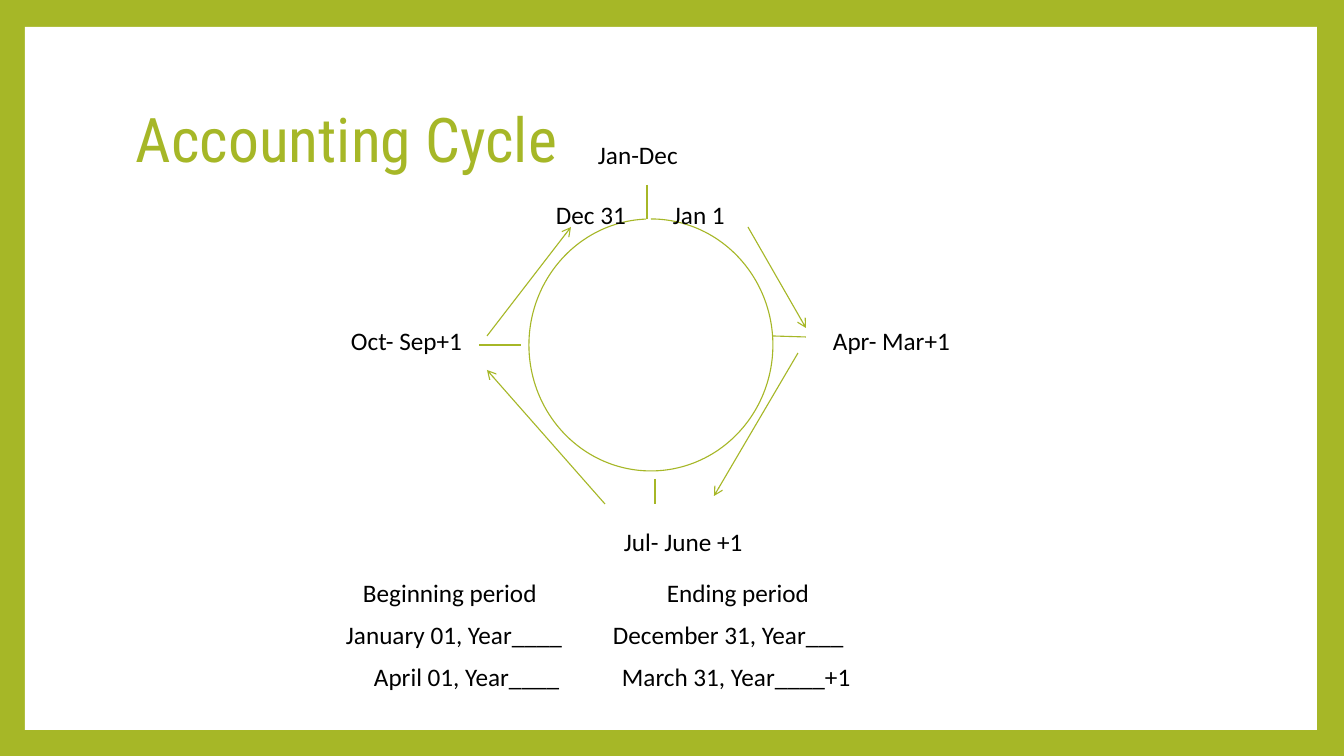
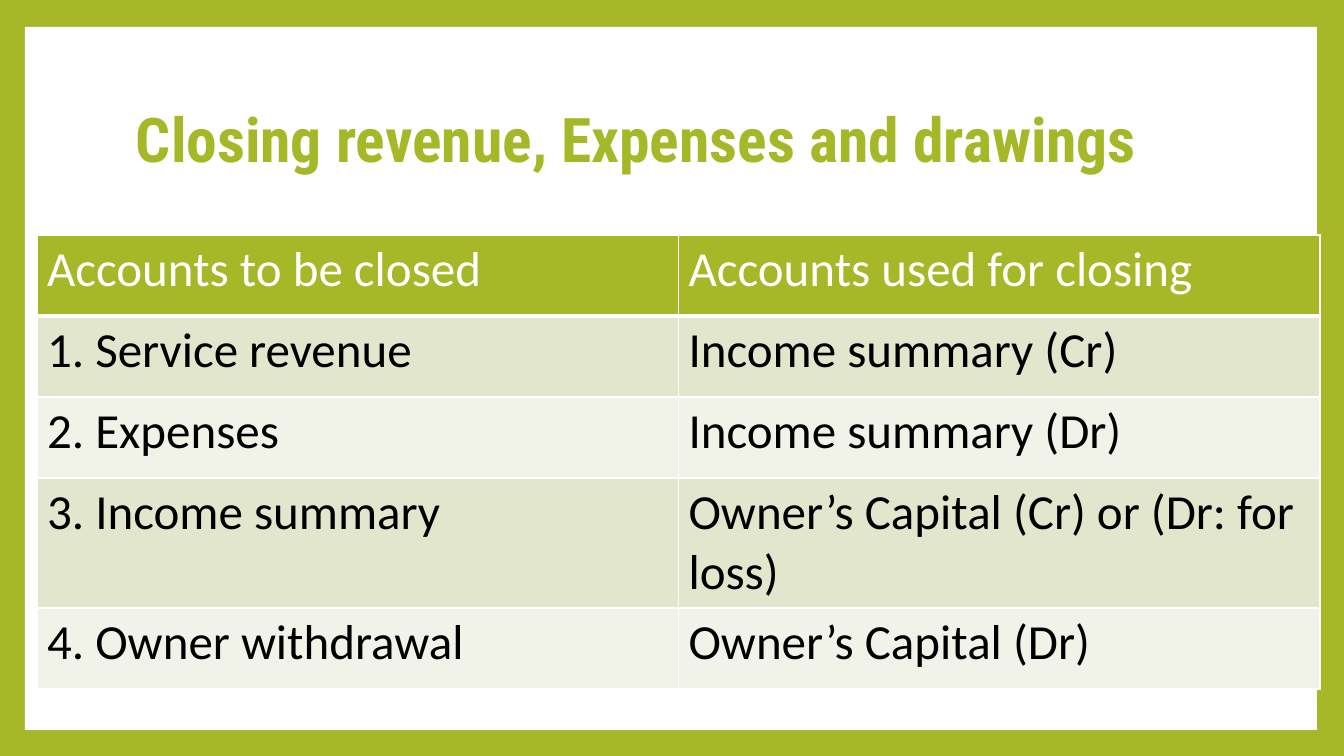
from dataclasses import dataclass

from lxml import etree
from pptx import Presentation
from pptx import util as u
from pptx.dml.color import RGBColor as Rgb
from pptx.enum import shapes, text
from pptx.oxml import ns

PX = 914400 / 100.8


@dataclass(frozen=True)
class Theme:
    """Colours, fonts and sizes of the deck."""
    green: str = "A6B727"
    white: str = "FFFFFF"
    black: str = "000000"
    bands: tuple = ("E1E6CD", "F1F3E8")
    head: str = "Roboto Condensed"
    body: str = "Calibri"
    title: int = 44
    label: int = 18
    cell: int = 35
    line: float = 0.79


T = Theme()


def px(*vals):
    """Turn px lengths into EMU."""
    return [u.Emu(round(v * PX)) for v in vals]


def paint(fill, tone):
    """Fill with one solid colour."""
    fill.solid()
    fill.fore_color.rgb = Rgb.from_string(tone)


def write(para, words, size, tone, face=T.body, bold=False):
    """Add one styled run to a paragraph."""
    run = para.add_run()
    run.text = words
    font = run.font
    font.name, font.size, font.bold = face, u.Pt(size), bold
    font.color.rgb = Rgb.from_string(tone)


def sub(node, tag, **attrs):
    """Append a drawing element to a node."""
    return etree.SubElement(node, ns.qn("a:" + tag), attrs)


def stroke(line):
    """Give a line the deck's thin green pen."""
    line.width = u.Pt(T.line)
    line.color.rgb = Rgb.from_string(T.green)


def label(slide, x, y, words):
    """Place a one-line label whose text starts at x."""
    frame = slide.shapes.add_textbox(*px(x, y, 240, 40)).text_frame
    frame.word_wrap = True
    frame.margin_left = frame.margin_right = 0
    frame.vertical_anchor = text.MSO_ANCHOR.MIDDLE
    write(frame.paragraphs[0], words, T.label, T.black)


def link(slide, x1, y1, x2, y2, arrow=False):
    """Draw a straight line, with an arrowhead at its end if asked."""
    line = slide.shapes.add_connector(
        shapes.MSO_CONNECTOR.STRAIGHT, *px(x1, y1, x2, y2))
    stroke(line.line)
    if arrow:
        sub(line.line._get_or_add_ln(), "tailEnd", type="arrow")
    sub(line._element.spPr, "effectLst")


def page(deck, words, bold=False):
    """Add a slide with the white panel and its title."""
    slide = deck.slides.add_slide(deck.slide_layouts[6])
    panel = slide.shapes.add_shape(
        shapes.MSO_SHAPE.RECTANGLE, *px(25, 27, 1292, 703))
    panel.shadow.inherit = False
    paint(panel.fill, T.white)
    panel.line.fill.background()
    frame = slide.shapes.add_textbox(*px(126, 68, 1089, 149)).text_frame
    frame.word_wrap = True
    frame.vertical_anchor = text.MSO_ANCHOR.MIDDLE
    para = frame.paragraphs[0]
    para.line_spacing = 0.9
    write(para, words, T.title, T.green, T.head, bold)
    return slide


def cycle(slide, x, y, w, h):
    """Draw the year ring with its ticks, arrows and dates."""
    ring = slide.shapes.add_shape(shapes.MSO_SHAPE.ARC, *px(x, y, w, h))
    ring.shadow.inherit = False
    ring.fill.background()
    ring.adjustments[0], ring.adjustments[1] = 162, 160.666
    stroke(ring.line)
    ticks = [(118, -34, 118, 0), (-8, 126, -50, 126),
             (w, 117, w + 33, 118), (126, h + 8, 126, h + 33)]
    arrows = [(219, 8, 277, 109), (269, 134, 185, 277),
              (76, 285, -42, 151), (-42, 117, 42, 8)]
    for group, arrow in ((ticks, False), (arrows, True)):
        for x1, y1, x2, y2 in group:
            link(slide, x + x1, y + y1, x + x2, y + y2, arrow)
    for dx, dy, words in (
            (69, -85, "Jan-Dec"), (304, 101, "Apr- Mar+1"),
            (-178, 101, "Oct- Sep+1"), (95, 302, "Jul- June +1"),
            (144, -25, "Jan 1"), (27, -25, "Dec 31")):
        label(slide, x + dx, y + dy, words)


def terms(slide, x, y, step):
    """List beginning and ending dates in paired rows."""
    rows = [((17, "Beginning period"), (321, "Ending period")),
            ((0, "January 01, Year____"), (267, "December 31, Year___")),
            ((28, "April 01, Year____"), (276, "March 31, Year____+1"))]
    for i, row in enumerate(rows):
        for dx, words in row:
            label(slide, x + dx, y + i * step, words)


def border(cell, top):
    """Edge a cell in white, thicker below the header."""
    props = cell._tc.get_or_add_tcPr()
    for i, side in enumerate(("lnL", "lnR", "lnT", "lnB")):
        wide = 3 if top and side == "lnB" else 1
        edge = sub(props, side, w=str(u.Pt(wide)))
        sub(sub(edge, "solidFill"), "srgbClr", val=T.white)
        props.insert(i, edge)


def ledger(slide, x, y, w, row, tall):
    """Build the table of accounts, with one taller row."""
    rows = [("Accounts to be closed", "Accounts used for closing"),
            ("1. Service revenue", "Income summary (Cr)"),
            ("2. Expenses", "Income summary (Dr)"),
            ("3. Income summary", "Owner’s Capital (Cr) or (Dr: for loss)"),
            ("4. Owner withdrawal", "Owner’s Capital (Dr)")]
    high = [row, row, row, tall, row]
    grid = slide.shapes.add_table(
        len(rows), 2, *px(x, y, w, sum(high))).table
    grid.first_row = grid.horz_banding = False
    for r, pair in enumerate(rows):
        grid.rows[r].height = px(high[r])[0]
        for c, words in enumerate(pair):
            cell = grid.cell(r, c)
            paint(cell.fill, T.bands[(r - 1) % 2] if r else T.green)
            border(cell, r == 0)
            write(cell.text_frame.paragraphs[0], words, T.cell,
                  T.black if r else T.white)


def main():
    """Build both slides and save the deck."""
    deck = Presentation()
    deck.slide_width, deck.slide_height = px(1344, 756)
    paint(deck.slide_master.background.fill, T.green)
    first = page(deck, "Accounting Cycle")
    cycle(first, 529, 219, 244, 252)
    terms(first, 346, 572, 42)
    second = page(deck, "Closing revenue, Expenses and drawings", True)
    ledger(second, 37, 235, 1283, 81, 130)
    deck.save("out.pptx")


if __name__ == "__main__":
    main()
